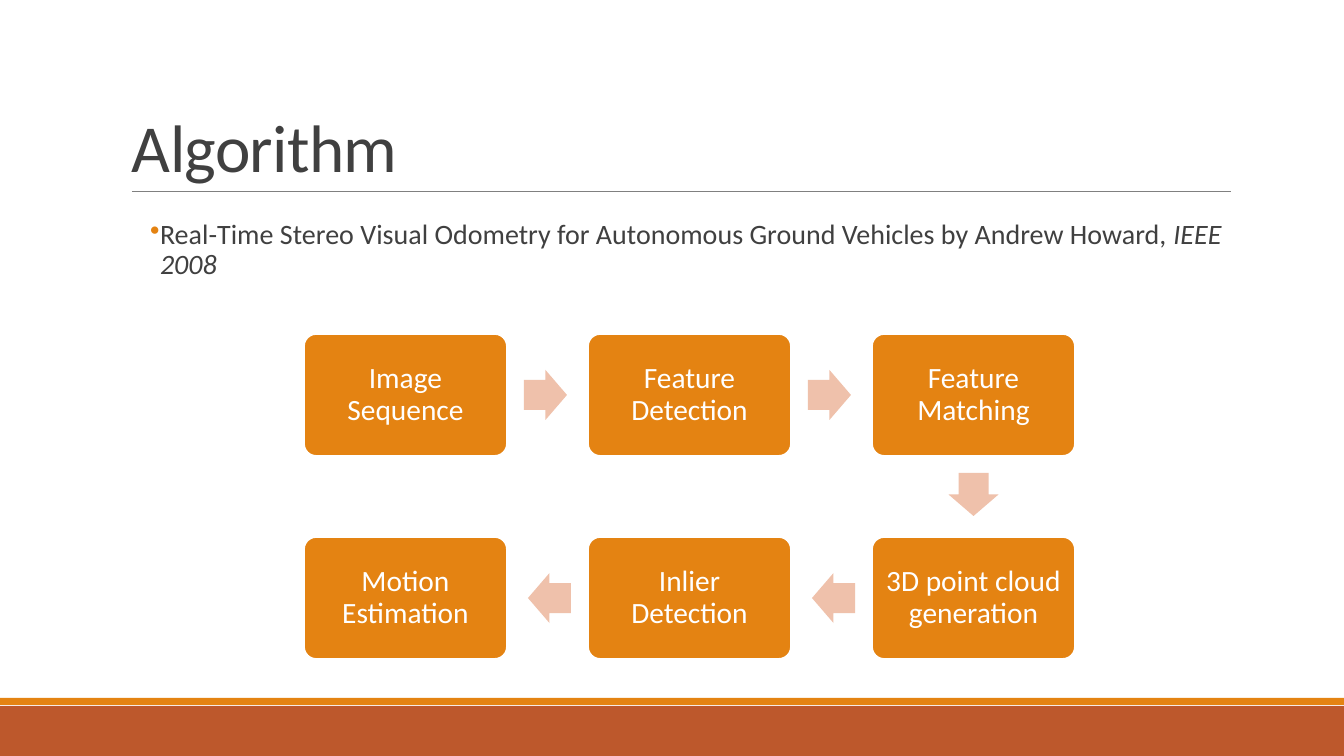
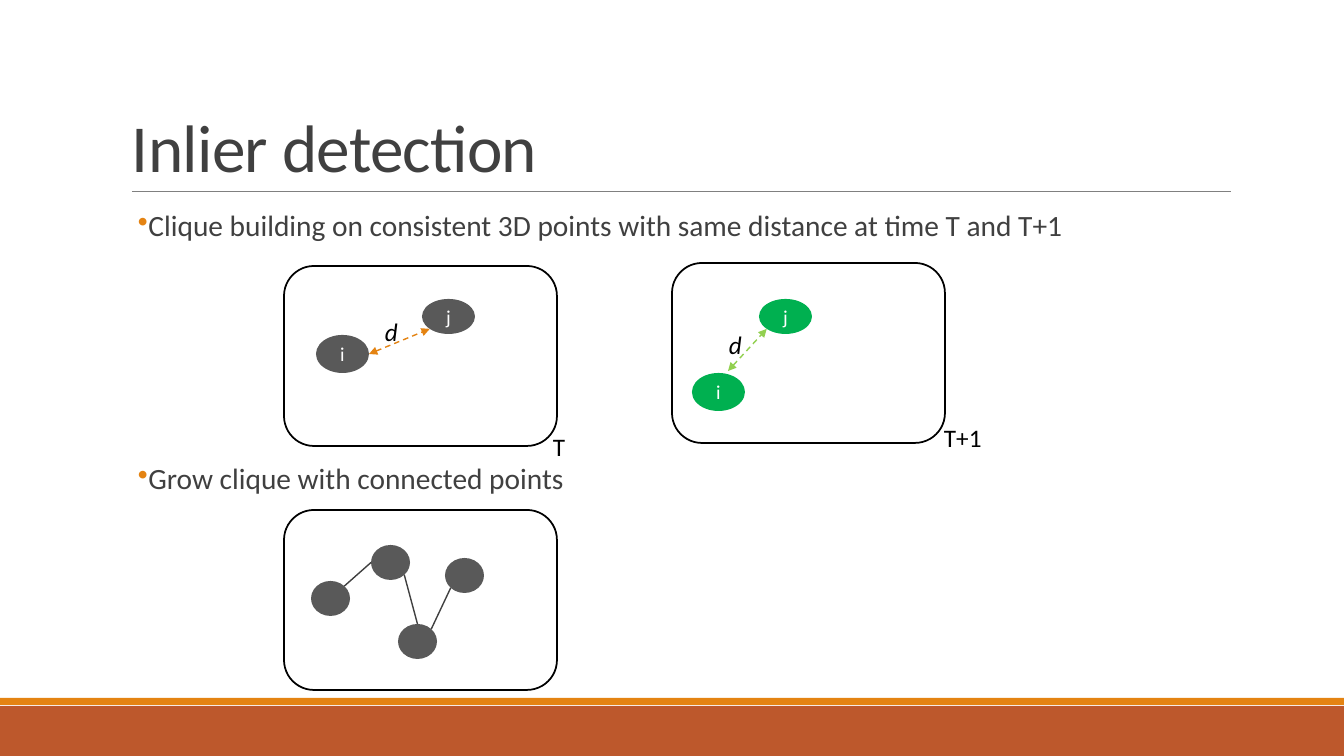
"""Build two slides on stereo visual odometry: the algorithm and inlier detection."""
from dataclasses import dataclass
from itertools import pairwise
from math import atan2, cos, degrees, hypot, radians, sin

from lxml.etree import SubElement
from pptx import Presentation
from pptx.dml.color import RGBColor
from pptx.enum.dml import MSO_LINE
from pptx.enum.shapes import MSO_CONNECTOR, MSO_SHAPE
from pptx.enum.text import MSO_ANCHOR as ANCHOR, PP_ALIGN as ALIGN
from pptx.oxml.ns import qn
from pptx.util import Emu, Pt


@dataclass(frozen=True)
class Theme:
    """Colours, font and type sizes of the deck."""
    font: str = "Calibri"
    ink: str = "404040"
    black: str = "000000"
    white: str = "FFFFFF"
    rule: str = "808080"
    rust: str = "BD582C"
    amber: str = "E48312"
    peach: str = "EFC1AB"
    gray: str = "595959"
    green: str = "00B050"
    lime: str = "92D050"
    title: int = 48
    body: int = 21
    citation: int = 20
    label: int = 18
    point: int = 14


THEME = Theme()
SLIDE_W, SLIDE_H = 1344, 756
SCALE = 12192000 / SLIDE_W

BANDS = [((0, 706, SLIDE_W, 50), THEME.rust), ((0, 698, SLIDE_W, 7), THEME.amber)]
TITLE_BOX = (132, 31, 1088, 155)
TITLE_RULE = ((132, 191), (1231, 191))

CITATION = [
    ("Real-Time Stereo Visual Odometry for Autonomous Ground Vehicles by Andrew Howard, ", False),
    ("IEEE 2008", True),
]
CITATION_BOX = (150, 215, 1082, 74)
STEPS = [
    ("Image Sequence", (0, 0)),
    ("Feature Detection", (1, 0)),
    ("Feature Matching", (2, 0)),
    ("3D point cloud generation", (2, 1)),
    ("Inlier Detection", (1, 1)),
    ("Motion Estimation", (0, 1)),
]
STEP_ORIGIN, STEP_PITCH, STEP_SIZE = (304, 334), (284, 203), (203, 122)
ARROW_SIZE, ARROW_BACK = (43, 50), 2

POINTS_BULLETS = [
    ("Clique building on consistent 3D points with same distance at time T and T+1", 206),
    ("Grow clique with connected points", 459),
]
FRAME_SIZE = (273, 180)
FRAMES = [(284, 266), (672, 263), (284, 510)]
PAIRS = [
    {"i": (316, 335, 53, 38), "j": (422, 299, 53, 35), "start": (369, 354),
     "fill": THEME.gray, "line": THEME.amber},
    {"i": (692, 373, 53, 38), "j": (759, 299, 53, 35), "start": (728, 371),
     "fill": THEME.green, "line": THEME.lime},
]
LABELS = [
    ("d", (385, 316), True),
    ("d", (729, 329), True),
    ("T", (553, 431), False),
    ("T+1", (944, 422), False),
]
LABEL_SIZE = (60, 30)
CLIQUE_SIZE = (39, 35)
CLIQUE = [(311, 581), (371, 545), (398, 624), (445, 558)]
CLIQUE_EDGES = [((0, "NE"), (1, "W")), ((2, "N"), (1, "SE")), ((2, "NE"), (3, "SW"))]
COMPASS = {"E": 0, "SE": 45, "SW": 135, "W": 180, "N": 270, "NE": 315}


def px(length):
    return Emu(round(length * SCALE))


def rgb(code):
    return RGBColor.from_string(code)


def write(shape, text, *, size, color, align=ALIGN.LEFT, anchor=ANCHOR.TOP,
          inset=(0, 0), leading=None, bullet=False, italic=False, tracking=None):
    frame = shape.text_frame
    frame.word_wrap = True
    frame.vertical_anchor = anchor
    frame.margin_left = frame.margin_right = px(inset[0])
    frame.margin_top = frame.margin_bottom = px(inset[1])
    paragraph = frame.paragraphs[0]
    if bullet:
        props = paragraph._p.get_or_add_pPr()
        props.set("marL", str(px(10)))
        props.set("indent", str(-px(10)))
        tint = SubElement(props, qn("a:buClr"))
        SubElement(tint, qn("a:srgbClr")).set("val", THEME.amber)
        SubElement(props, qn("a:buChar")).set("char", "•")
    paragraph.alignment = align
    if leading:
        paragraph.line_spacing = leading
    for words, slanted in [(text, italic)] if isinstance(text, str) else text:
        run = paragraph.add_run()
        run.text = words
        run.font.name, run.font.size = THEME.font, Pt(size)
        run.font.color.rgb = rgb(color)
        run.font.italic = slanted
        if tracking:
            run._r.get_or_add_rPr().set("spc", str(tracking))


def add_text(slide, box, text, **style):
    write(slide.shapes.add_textbox(*map(px, box)), text, **style)


def add_preset(slide, preset, box, fill=None, line=None, weight=1.25):
    shape = slide.shapes.add_shape(preset, *map(px, box))
    shape.shadow.inherit = False
    if fill:
        shape.fill.solid()
        shape.fill.fore_color.rgb = rgb(fill)
    else:
        shape.fill.background()
    if line:
        shape.line.color.rgb = rgb(line)
        shape.line.width = Pt(weight)
    else:
        shape.line.fill.background()
    return shape


def add_line(slide, start, end, color, weight=1, double_arrow=False):
    link = slide.shapes.add_connector(MSO_CONNECTOR.STRAIGHT, *map(px, (*start, *end)))
    link.line.color.rgb = rgb(color)
    link.line.width = Pt(weight)
    if double_arrow:
        link.line.dash_style = MSO_LINE.DASH
        for tip in ("a:headEnd", "a:tailEnd"):
            SubElement(link.line._get_or_add_ln(), qn(tip)).set("type", "triangle")
    SubElement(link._element.spPr, qn("a:effectLst"))


def rim(box, side):
    left, top, width, height = box
    angle = radians(COMPASS[side])
    return left + width / 2 * (1 + cos(angle)), top + height / 2 * (1 + sin(angle))


def add_titled_slide(deck, title):
    slide = deck.slides.add_slide(deck.slide_layouts[6])
    for box, color in BANDS:
        add_preset(slide, MSO_SHAPE.RECTANGLE, box, color)
    add_line(slide, *TITLE_RULE, THEME.rule, weight=0.5)
    add_text(slide, TITLE_BOX, title, size=THEME.title, color=THEME.ink,
             anchor=ANCHOR.BOTTOM, leading=0.85, tracking=-50)
    return slide


def add_bullet(slide, box, text, size):
    add_text(slide, box, text, size=size, color=THEME.ink, inset=(0, 5),
             leading=0.9, bullet=True)


def build_algorithm(deck):
    slide = add_titled_slide(deck, "Algorithm")
    add_bullet(slide, CITATION_BOX, CITATION, THEME.citation)
    centers = []
    for step, cell in STEPS:
        left, top = (o + c * p for o, c, p in zip(STEP_ORIGIN, cell, STEP_PITCH))
        centers.append((left + STEP_SIZE[0] / 2, top + STEP_SIZE[1] / 2))
        card = add_preset(slide, MSO_SHAPE.ROUNDED_RECTANGLE, (left, top, *STEP_SIZE),
                          THEME.amber, THEME.white)
        card.adjustments[0] = 0.1
        write(card, step, size=THEME.body, color=THEME.white, align=ALIGN.CENTER,
              anchor=ANCHOR.MIDDLE, inset=(9, 9), leading=0.9)
    width, height = ARROW_SIZE
    for (x1, y1), (x2, y2) in pairwise(centers):
        dx, dy = x2 - x1, y2 - y1
        back = ARROW_BACK / hypot(dx, dy)
        box = ((x1 + x2 - width) / 2 - dx * back,
               (y1 + y2 - height) / 2 - dy * back, width, height)
        arrow = add_preset(slide, MSO_SHAPE.RIGHT_ARROW, box, THEME.peach)
        arrow.adjustments[0], arrow.adjustments[1] = 0.6, 0.5
        arrow.rotation = degrees(atan2(dy, dx))


def build_inliers(deck):
    slide = add_titled_slide(deck, "Inlier detection")
    for bullet, top in POINTS_BULLETS:
        add_bullet(slide, (138, top, 1109, 42), bullet, THEME.body)
    for corner in FRAMES:
        add_preset(slide, MSO_SHAPE.ROUNDED_RECTANGLE, (*corner, *FRAME_SIZE),
                   line=THEME.black)
    for pair in PAIRS:
        for name in "ij":
            point = add_preset(slide, MSO_SHAPE.OVAL, pair[name], pair["fill"])
            write(point, name, size=THEME.point, color=THEME.white,
                  align=ALIGN.CENTER, anchor=ANCHOR.MIDDLE)
        add_line(slide, pair["start"], rim(pair["j"], "SW"), pair["line"], double_arrow=True)
    for label, corner, italic in LABELS:
        add_text(slide, (*corner, *LABEL_SIZE), label, size=THEME.label,
                 color=THEME.black, italic=italic)
    nodes = [(*corner, *CLIQUE_SIZE) for corner in CLIQUE]
    for node in nodes:
        add_preset(slide, MSO_SHAPE.OVAL, node, THEME.gray)
    for edge in CLIQUE_EDGES:
        start, end = (rim(nodes[index], side) for index, side in edge)
        add_line(slide, start, end, THEME.ink)


def main():
    deck = Presentation()
    deck.slide_width, deck.slide_height = px(SLIDE_W), px(SLIDE_H)
    build_algorithm(deck)
    build_inliers(deck)
    deck.save("out.pptx")


if __name__ == "__main__":
    main()
